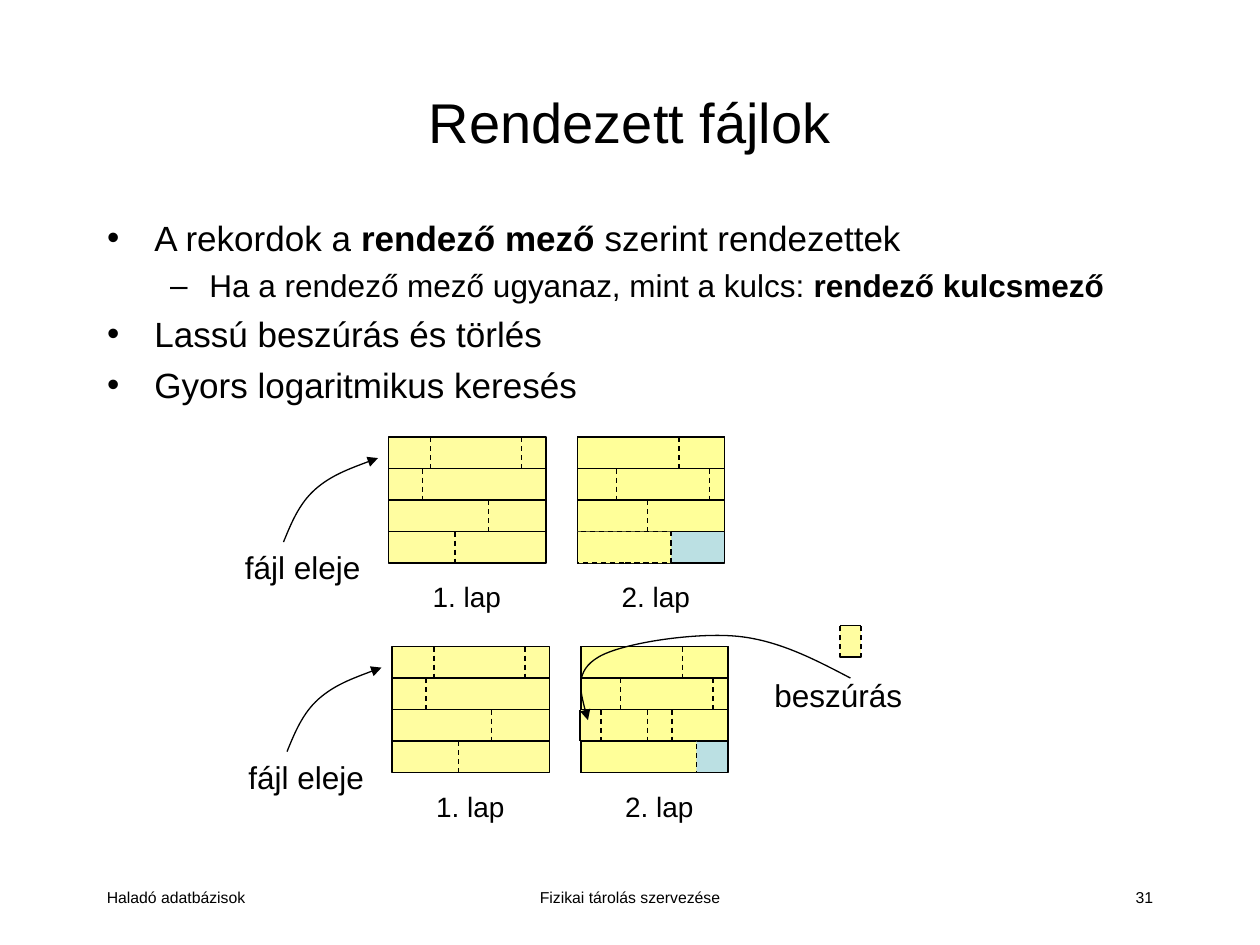
"""Build the slide on ordered files, with two states of a two-page file."""
from dataclasses import dataclass
from typing import Any
from lxml import etree
from pptx import Presentation
from pptx import util as u
from pptx.dml.color import RGBColor
from pptx.enum import dml, shapes, text
from pptx.oxml import ns

BLACK = RGBColor(0x00, 0x00, 0x00)
CREAM = RGBColor(0xFF, 0xFD, 0xA0)
YELLOW = RGBColor(0xFF, 0xFF, 0x99)
FREE_SPACE = RGBColor(0xBB, 0xE0, 0xE3)
ROW, ROWS, RECORD = 18, 4, 12
PAGE_1_WIDTH, PAGE_2_WIDTH, PAGE_2_OFFSET = 90, 84, 108
PAGE_1_SPLITS = ((24, 76), (19.5,), (57,), (38,))

Point = tuple[float, float]
Splits = tuple[tuple[float, ...], ...]


@dataclass(frozen=True)
class FileState:
    left: float
    top: float
    page_2_splits: Splits
    used: float
    solid_edges: tuple[str, ...]


@dataclass(frozen=True)
class Label:
    wording: str
    left: float
    top: float
    width: float
    height: float
    size: float
    align: Any = text.PP_ALIGN.CENTER
    wrap: bool = False


BEFORE = FileState(222, 249.75, ((58,), (22.5, 75.5), (40,)), 53.5, ("left",))
AFTER = FileState(224, 369.5, ((58,), (22.5, 75.5), (38, 52)), 66, ("left", "top", "bottom"))
FOOTERS = (
    Label("Haladó adatbázisok", 54, 504, 150, 24, 9, text.PP_ALIGN.LEFT, True),
    Label("Fizikai tárolás szervezése", 246, 504, 228, 24, 9, wrap=True),
    Label("31", 516, 504, 150, 24, 9, text.PP_ALIGN.RIGHT, True),
)
BULLETS = (
    (0, 20, 0, (("A rekordok a ", False), ("rendező mező", True), (" szerint rendezettek", False))),
    (1, 18, 4.5, (("Ha a rendező mező ugyanaz, mint a kulcs: ", False), ("rendező kulcsmező", True))),
    (0, 20, 5, (("Lassú beszúrás és törlés", False),)),
    (0, 20, 5, (("Gyors logaritmikus keresés", False),)),
)


def apply_format(target: Any, values: dict[str, Any]) -> None:
    for attribute, value in values.items():
        setattr(target, attribute, value)


def format_font(font: Any, size: float, bold: bool = False) -> None:
    apply_format(font, {"name": "Arial", "size": u.Pt(size), "bold": bold})
    font.color.rgb = BLACK


def format_line(line: Any, dashed: bool = False) -> None:
    line.color.rgb = BLACK
    line.width = u.Pt(0.75)
    if dashed:
        line.dash_style = dml.MSO_LINE.DASH


def place(shape: Any, left: float, top: float, width: float, height: float) -> None:
    bounds = {"left": left, "top": top, "width": width, "height": height}
    apply_format(shape, {side: u.Pt(value) for side, value in bounds.items()})


def draw_label(slide: Any, label: Label) -> None:
    box = slide.shapes.add_textbox(0, 0, 0, 0)
    fit = text.MSO_AUTO_SIZE.NONE if label.wrap else text.MSO_AUTO_SIZE.SHAPE_TO_FIT_TEXT
    margin = u.Pt(7.2 if label.wrap else 2)
    apply_format(box.text_frame, {"text": label.wording, "word_wrap": label.wrap, "auto_size": fit,
                                  "margin_left": margin, "margin_right": margin})
    paragraph = box.text_frame.paragraphs[0]
    paragraph.alignment = label.align
    format_font(paragraph.runs[0].font, label.size)
    place(box, label.left, label.top, label.width, label.height)


def draw_box(slide: Any, bounds: tuple[float, ...], fill: RGBColor, dashed: bool = False) -> None:
    box = slide.shapes.add_shape(shapes.MSO_SHAPE.RECTANGLE, *map(u.Pt, bounds))
    box.shadow.inherit = False
    box.fill.solid()
    box.fill.fore_color.rgb = fill
    format_line(box.line, dashed)


def draw_line(slide: Any, start: Point, end: Point, dashed: bool = False) -> None:
    line = slide.shapes.add_connector(shapes.MSO_CONNECTOR.STRAIGHT, *map(u.Pt, (*start, *end)))
    format_line(line.line, dashed)
    etree.SubElement(line._element.spPr, ns.qn("a:effectLst"))


def draw_splits(slide: Any, left: float, top: float, splits: Splits) -> None:
    for row, offsets in enumerate(splits):
        y = top + row * ROW
        for offset in offsets:
            draw_line(slide, (left + offset, y), (left + offset, y + ROW), dashed=True)


def draw_record(slide: Any, left: float, top: float, width: float,
                fill: RGBColor, solid_edges: tuple[str, ...]) -> None:
    draw_box(slide, (left, top, width, ROW), fill, dashed=True)
    right, bottom = left + width, top + ROW
    edges = {"left": ((left, top), (left, bottom)),
             "top": ((left, top), (right, top)),
             "bottom": ((left, bottom), (right, bottom))}
    for edge in solid_edges:
        draw_line(slide, *edges[edge])


def draw_curved_arrow(slide: Any, points: list[Point], arrow_end: str) -> None:
    start, *controls = [(u.Pt(x), u.Pt(y)) for x, y in points]
    builder = slide.shapes.build_freeform(*start)
    builder.add_line_segments(controls, close=False)
    curve = builder.convert_to_shape()
    curve.shadow.inherit = False
    curve.fill.background()
    format_line(curve.line)
    etree.SubElement(curve.line._get_or_add_ln(), ns.qn(arrow_end), type="triangle")
    segments = curve._element.xpath(".//a:lnTo")
    for first in range(0, len(segments), 3):
        cubic = etree.Element(ns.qn("a:cubicBezTo"))
        segments[first].addprevious(cubic)
        for segment in segments[first:first + 3]:
            cubic.append(segment[0])
            segment.getparent().remove(segment)


def draw_file(slide: Any, state: FileState) -> None:
    left, top = state.left, state.top
    second, height = left + PAGE_2_OFFSET, ROWS * ROW
    draw_box(slide, (second, top, PAGE_2_WIDTH, height), FREE_SPACE)
    for row in range(ROWS - 1):
        draw_box(slide, (second, top + row * ROW, PAGE_2_WIDTH, ROW), YELLOW)
    draw_record(slide, second, top + (ROWS - 1) * ROW, state.used, YELLOW, state.solid_edges)
    draw_splits(slide, second, top, state.page_2_splits)
    draw_box(slide, (left, top, PAGE_1_WIDTH, height), CREAM)
    for row in range(1, ROWS):
        y = top + row * ROW
        draw_line(slide, (left, y), (left + PAGE_1_WIDTH, y))
    draw_splits(slide, left, top, PAGE_1_SPLITS)
    for number, page_left in enumerate((left, second), 1):
        draw_label(slide, Label(f"{number}. lap", page_left + 18, top + 78, 53.5, 26.5, 16))
    pointer = [(-6, 12), (-19.5, 17), (-33, 22), (-42, 30), (-51, 38), (-55.5, 49), (-60, 60)]
    draw_curved_arrow(slide, [(left + x, top + y) for x, y in pointer], "a:headEnd")
    draw_label(slide, Label("fájl eleje", left - 89, top + 60, 80, 29, 18))


def fill_placeholders(slide: Any) -> None:
    title, body = slide.shapes.title, slide.placeholders[1]
    place(title, 54, 24, 612, 90)
    place(body, 54, 120, 612, 372)
    title.text_frame.text = "Rendezett fájlok"
    format_font(title.text_frame.paragraphs[0].runs[0].font, 32)
    for holder in (title, body):
        holder.text_frame.auto_size = text.MSO_AUTO_SIZE.NONE
    for index, (level, size, before, runs) in enumerate(BULLETS):
        paragraph = body.text_frame.add_paragraph() if index else body.text_frame.paragraphs[0]
        apply_format(paragraph, {"level": level, "space_before": u.Pt(before)})
        for wording, bold in runs:
            run = paragraph.add_run()
            run.text = wording
            format_font(run.font, size, bold)


def main() -> None:
    deck = Presentation()
    apply_format(deck, {"slide_width": u.Pt(720), "slide_height": u.Pt(540)})
    slide = deck.slides.add_slide(deck.slide_layouts[1])
    fill_placeholders(slide)
    for label in FOOTERS:
        draw_label(slide, label)
    for state in (BEFORE, AFTER):
        draw_file(slide, state)
    draw_record(slide, AFTER.left + PAGE_2_OFFSET - 0.5, AFTER.top + 2 * ROW, RECORD, CREAM,
                AFTER.solid_edges)
    draw_record(slide, 480, 357.5, RECORD, CREAM, ("top", "bottom"))
    insertion = [(486, 387.5), (465, 376.5), (444, 365.5), (420, 363.5), (396, 361.5),
                 (355.5, 367.5), (342, 375.5), (328.5, 383.5), (332, 397.5), (336, 411.5)]
    draw_curved_arrow(slide, insertion, "a:tailEnd")
    draw_label(slide, Label("beszúrás", 435.5, 383, 87, 29, 18))
    deck.save("out.pptx")


if __name__ == "__main__":
    main()
